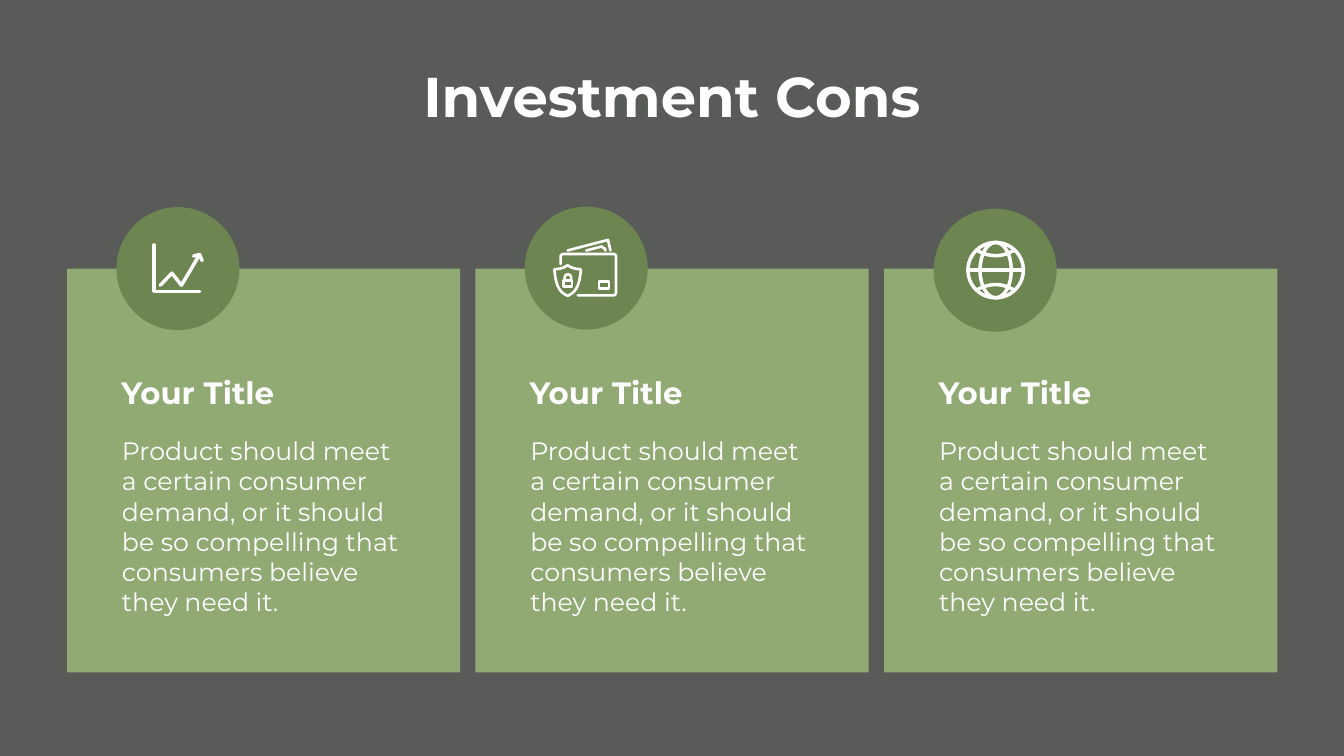
from lxml.etree import SubElement
from pptx import Presentation
from pptx.dml.color import RGBColor
from pptx.enum.shapes import MSO_SHAPE
from pptx.enum.text import MSO_AUTO_SIZE, PP_ALIGN
from pptx.oxml.ns import qn
from pptx.util import Inches, Pt

COLORS = {"background": "585B57", "card": "91AA74", "badge": "6D8551", "white": "FFFFFF"}
WHITE = RGBColor.from_string(COLORS["white"])

prs = Presentation()
prs.slide_width, prs.slide_height = Inches(26.66), Inches(15)
slide = prs.slides.add_slide(prs.slide_layouts[6])
shapes = slide.shapes


def curve(p0, p1, p2, p3, steps=16):
    """Points along a cubic Bezier curve."""
    points = []
    for i in range(steps + 1):
        t = i / steps
        weights = ((1 - t) ** 3, 3 * t * (1 - t) ** 2, 3 * t * t * (1 - t), t ** 3)
        points.append(tuple(sum(w * p[axis] for w, p in zip(weights, (p0, p1, p2, p3)))
                            for axis in (0, 1)))
    return points


def add_text(text, box, size, bold=False, align=PP_ALIGN.LEFT, wrap=True, insets=(0.1, 0.05)):
    s = shapes.add_textbox(*map(Inches, box))
    tf = s.text_frame
    side, top = map(Inches, insets)
    frame_format = {"word_wrap": wrap, "auto_size": MSO_AUTO_SIZE.SHAPE_TO_FIT_TEXT,
                    "margin_left": side, "margin_right": side,
                    "margin_top": top, "margin_bottom": top}
    for name, value in frame_format.items():
        setattr(tf, name, value)
    p = tf.paragraphs[0]
    p.alignment = align
    r = p.add_run()
    r.text = text
    for name, value in {"name": "Montserrat", "size": Pt(size), "bold": bold}.items():
        setattr(r.font, name, value)
    r.font.color.rgb = WHITE


# Background, cards and round badges
card_lefts = [1.33, 9.43, 17.54]
badge_tops = [4.11, 4.1, 4.14]
blocks = [(MSO_SHAPE.RECTANGLE, (0, 0, 26.66, 15), "background")]
blocks += [(MSO_SHAPE.RECTANGLE, (x, 5.33, 7.8, 8.01), "card") for x in card_lefts]
blocks += [(MSO_SHAPE.OVAL, (x + 0.98, y, 2.44, 2.44), "badge")
           for x, y in zip(card_lefts, badge_tops)]
for kind, box, color in blocks:
    s = shapes.add_shape(kind, *map(Inches, box))
    s.shadow.inherit = False
    s.fill.solid()
    s.fill.fore_color.rgb = RGBColor.from_string(COLORS[color])
    s.line.fill.background()

# Heading and card texts
add_text("Investment Cons", (2.46, 1.18, 21.74, 1.45), 80, bold=True, align=PP_ALIGN.CENTER)
body = ("Product should meet a certain consumer demand, or it should be so compelling "
        "that consumers believe they need it.")
for x in card_lefts:
    add_text("Your Title", (x + 0.98, 7.37, 3.23, 0.84), 44, bold=True, wrap=False)
    add_text(body, (x + 0.85, 8.52, 6.1, 3.88), 36, insets=(0.24, 0.12))

# Icon outlines: points, closed
growth_chart = [
    ([(3.05, 4.86), (3.05, 5.78), (3.96, 5.78)], False),
    ([(3.18, 5.66), (3.41, 5.42), (3.6, 5.66), (3.96, 5.05)], False),
    ([(3.84, 5.08), (3.96, 5.05), (4.01, 5.17)], False),
]
shield_left = (curve((11.26, 5.26), (11.2, 5.31), (11.11, 5.34), (11, 5.34))
               + curve((11, 5.38), (11.03, 5.68), (11.1, 5.8), (11.26, 5.87)))
shield_right = [(2 * 11.26 - x, y) for x, y in reversed(shield_left)]
wallet = [
    ([(11.88, 5.59), (12.08, 5.59), (12.08, 5.72), (11.88, 5.72)], True),
    ([(11.26, 4.97), (12.06, 4.76), (12.11, 4.97)], False),
    ([(11.63, 4.97), (11.94, 4.89), (11.97, 4.92), (12, 4.93), (12.01, 4.97)], False),
    ([(11.46, 5.86)]
     + curve((12.17, 5.86), (12.2, 5.86), (12.22, 5.83), (12.22, 5.8))
     + curve((12.22, 5.09), (12.22, 5.06), (12.2, 5.04), (12.17, 5.04))
     + curve((11.18, 5.04), (11.15, 5.04), (11.12, 5.06), (11.12, 5.09))
     + [(11.12, 5.24)], False),
    (shield_left + shield_right, True),
    ([(11.18, 5.57), (11.35, 5.57), (11.35, 5.68), (11.18, 5.68)], True),
    ([(11.2, 5.57)] + curve((11.2, 5.52), (11.2, 5.42), (11.33, 5.42), (11.33, 5.52))
     + [(11.33, 5.57)], False),
]
globe = [
    (curve((19.37, 4.96), (19.6, 5.11), (19.9, 5.11), (20.12, 4.96)), False),
    (curve((19.37, 5.76), (19.6, 5.61), (19.9, 5.61), (20.12, 5.76)), False),
    ([(19.2, 5.36), (20.3, 5.36)], False),
]
strokes = []
for outlines, width in ((growth_chart, 5), (wallet, 3.75), (globe, 5)):
    for points, closed in outlines:
        points = [(Inches(x), Inches(y)) for x, y in points]
        builder = shapes.build_freeform(*points[0])
        builder.add_line_segments(points[1:], close=closed)
        strokes.append((builder.convert_to_shape(), width))

# Globe rim and meridians
for half_width in (0.55, 0.31):
    box = (19.75 - half_width, 4.81, 2 * half_width, 1.1)
    strokes.append((shapes.add_shape(MSO_SHAPE.OVAL, *map(Inches, box)), 5))

# White rounded strokes for all icon parts
for s, width in strokes:
    s.shadow.inherit = False
    s.fill.background()
    s.line.color.rgb = WHITE
    s.line.width = Pt(width)
    ln = s.line._get_or_add_ln()
    ln.set("cap", "rnd")
    SubElement(ln, qn("a:round"))

prs.save("out.pptx")
